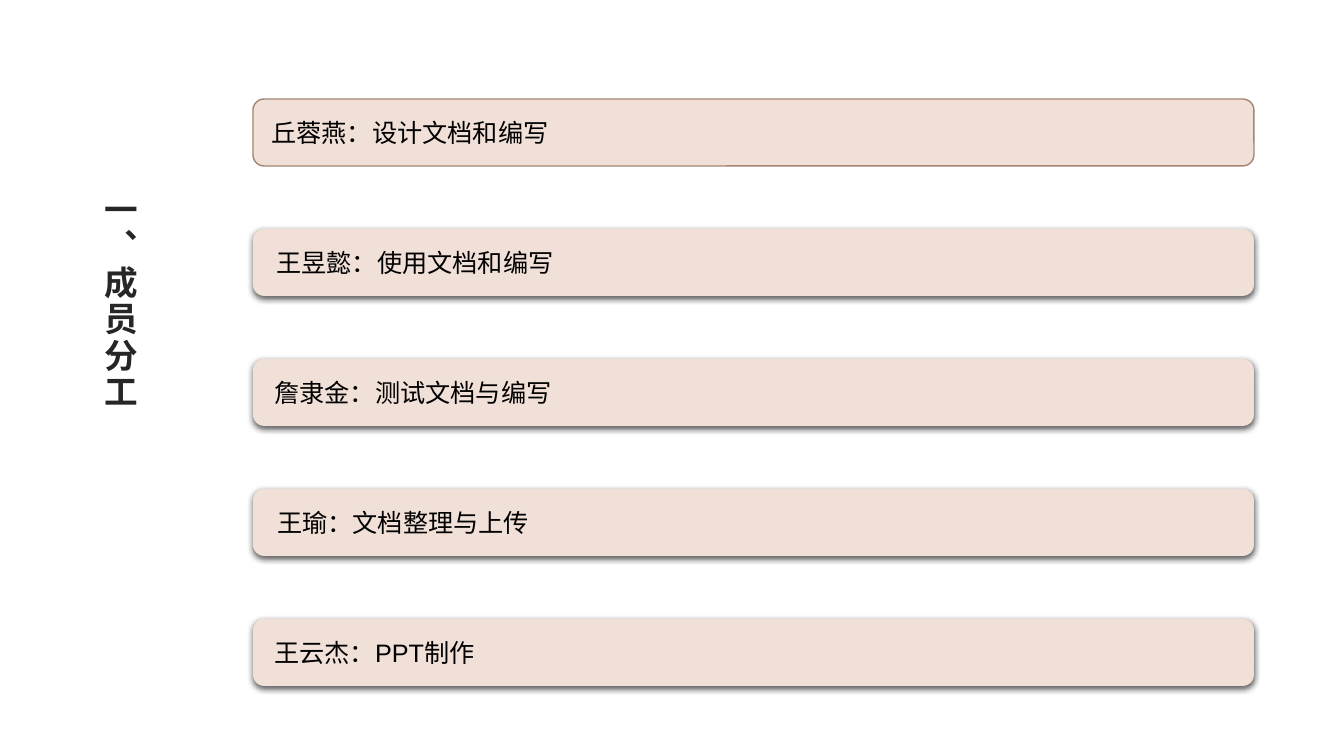
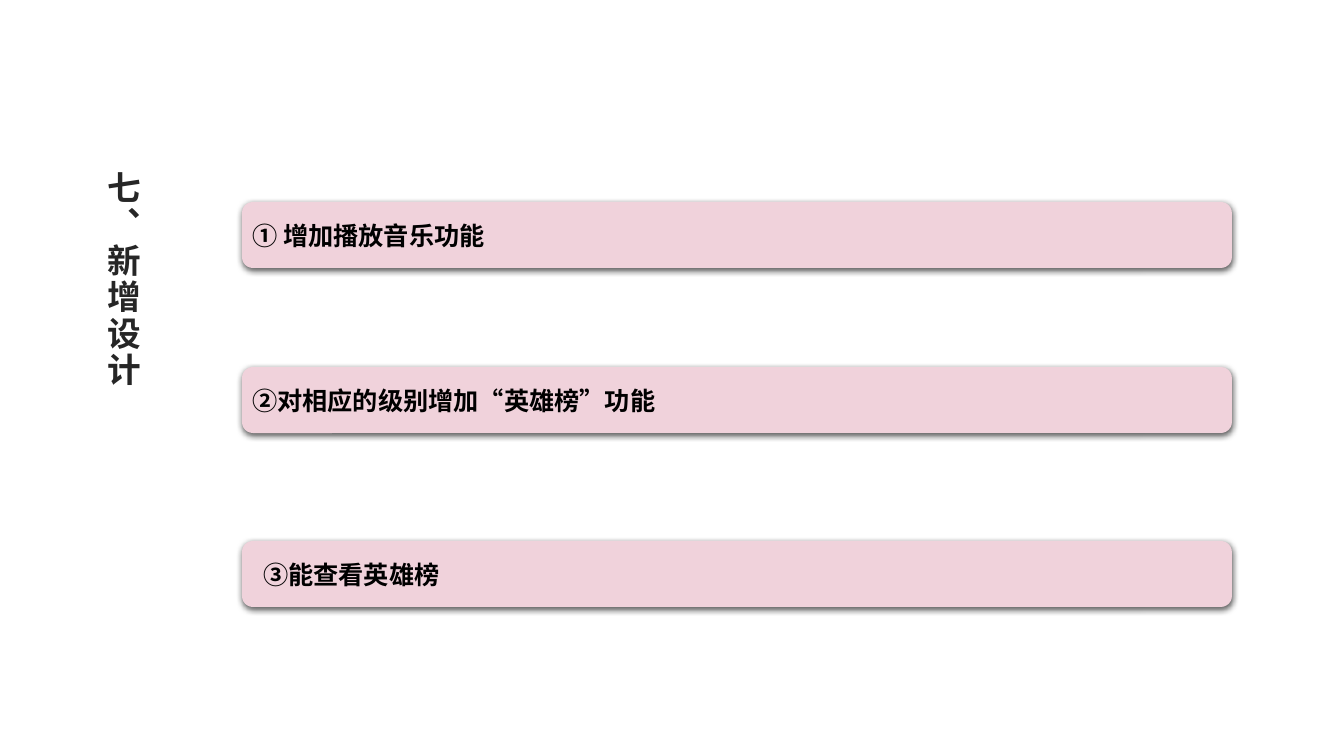
import pptx
import pptx.util
import pptx.dml.color
import pptx.enum.shapes
import pptx.enum.text
import pptx.oxml
import pptx.oxml.ns

COLORS = {
    "white": "FFFFFF",
    "title": "262626",
    "text": "000000",
    "beige": "F1E0D7",
    "brown": "A38472",
    "pink": "F0D2DB",
}
LATIN, CJK = "Arial", "Noto Sans CJK SC"
SLIDE_SIZE = (1344, 756)
PX = 9071.43  # EMU in one px, at 100.8 px to the inch

# Each bar is (text, left inset in px).
SLIDES = [
    {
        "title": "一、成员分工",
        "title_box": (79, 189, 80, 544),
        "bar_left": 253, "bar_size": (1001, 67),
        "bar_tops": range(99, 620, 130),
        "fill": "beige", "outlined": 0, "font": LATIN, "bold": False,
        "bars": [
            ("丘蓉燕：设计文档和编写", 15),
            ("王昱懿：使用文档和编写", 20),
            ("詹隶金：测试文档与编写", 18),
            ("王瑜：文档整理与上传", 21),
            ("王云杰：PPT制作", 18),
        ],
    },
    {
        "title": "七、新增设计",
        "title_box": (69, 167, 105, 532),
        "bar_left": 242, "bar_size": (990, 66),
        "bar_tops": (202, 367, 541),
        "fill": "pink", "outlined": None, "font": CJK, "bold": True,
        "bars": [
            ("① 增加播放音乐功能", 7),
            ("②对相应的级别增加“英雄榜”功能", 7),
            ("③能查看英雄榜", 18),
        ],
    },
]

SHADOW = (
    f'<a:effectLst {pptx.oxml.ns.nsdecls("a")}>'
    '<a:outerShdw blurRad="57150" dist="19050" dir="5400000" algn="ctr" rotWithShape="0">'
    '<a:srgbClr val="000000"><a:alpha val="63000"/></a:srgbClr>'
    '</a:outerShdw></a:effectLst>'
)


def px(length):
    return pptx.util.Emu(round(length * PX))


def rgb(name):
    return pptx.dml.color.RGBColor.from_string(COLORS[name])


def write(shape, text, *, size, color, insets, font=LATIN, bold=False, spacing=0, vertical=False):
    """Put one left-aligned, middle-anchored line of text in a shape."""
    frame = shape.text_frame
    frame.word_wrap = True
    frame.auto_size = pptx.enum.text.MSO_AUTO_SIZE.NONE
    frame.vertical_anchor = pptx.enum.text.MSO_ANCHOR.MIDDLE
    (frame.margin_left, frame.margin_top,
     frame.margin_right, frame.margin_bottom) = map(px, insets)
    if vertical:
        frame._txBody.bodyPr.set("vert", "eaVert")
    paragraph = frame.paragraphs[0]
    paragraph.alignment = pptx.enum.text.PP_ALIGN.LEFT
    run = paragraph.add_run()
    run.text = text
    run.font.size = pptx.util.Pt(size)
    run.font.bold = bold
    run.font.color.rgb = rgb(color)
    run.font.name = font
    properties = run._r.get_or_add_rPr()
    properties.set("lang", "zh-CN")
    if spacing:
        properties.set("spc", str(spacing * 100))
    east_asian = pptx.oxml.parse_xml(
        f'<a:ea {pptx.oxml.ns.nsdecls("a")} typeface="{CJK}"/>')
    properties.find(pptx.oxml.ns.qn("a:latin")).addnext(east_asian)


def add_title(slide, text, box):
    title = slide.shapes.title
    title.left, title.top, title.width, title.height = map(px, box)
    title.fill.solid()
    title.fill.fore_color.rgb = rgb("white")
    write(title, text, size=24, color="title", insets=(11, 4, 8, 4),
          bold=True, spacing=2, vertical=True)


def add_bar(slide, box, fill, outlined):
    """Add a rounded bar with either an outline or a soft shadow."""
    bar = slide.shapes.add_shape(
        pptx.enum.shapes.MSO_SHAPE.ROUNDED_RECTANGLE, *map(px, box))
    bar.fill.solid()
    bar.fill.fore_color.rgb = rgb(fill)
    if outlined:
        bar.line.color.rgb = rgb("brown")
        bar.line.width = pptx.util.Pt(1)
        bar.shadow.inherit = False
    else:
        bar.line.fill.background()
        bar._element.spPr.append(pptx.oxml.parse_xml(SHADOW))
    return bar


def build_slide(deck, content):
    slide = deck.slides.add_slide(deck.slide_layouts.get_by_name("Title Only"))
    add_title(slide, content["title"], content["title_box"])
    for index, ((text, inset), top) in enumerate(zip(content["bars"], content["bar_tops"])):
        box = (content["bar_left"], top, *content["bar_size"])
        bar = add_bar(slide, box, content["fill"], index == content["outlined"])
        write(bar, text, size=18, color="text", insets=(inset, 5, 10, 5),
              font=content["font"], bold=content["bold"])


def main():
    deck = pptx.Presentation()
    deck.slide_width, deck.slide_height = map(px, SLIDE_SIZE)
    for content in SLIDES:
        build_slide(deck, content)
    deck.save("out.pptx")


if __name__ == "__main__":
    main()
